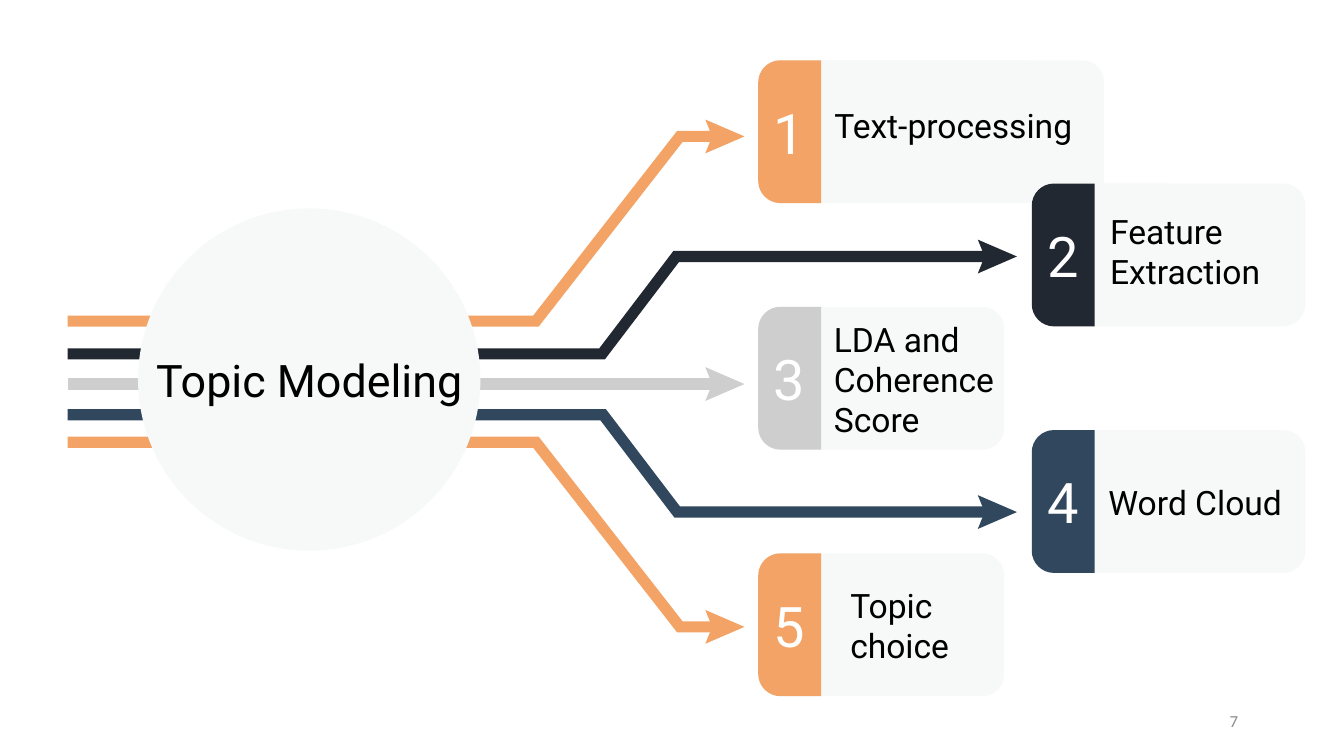
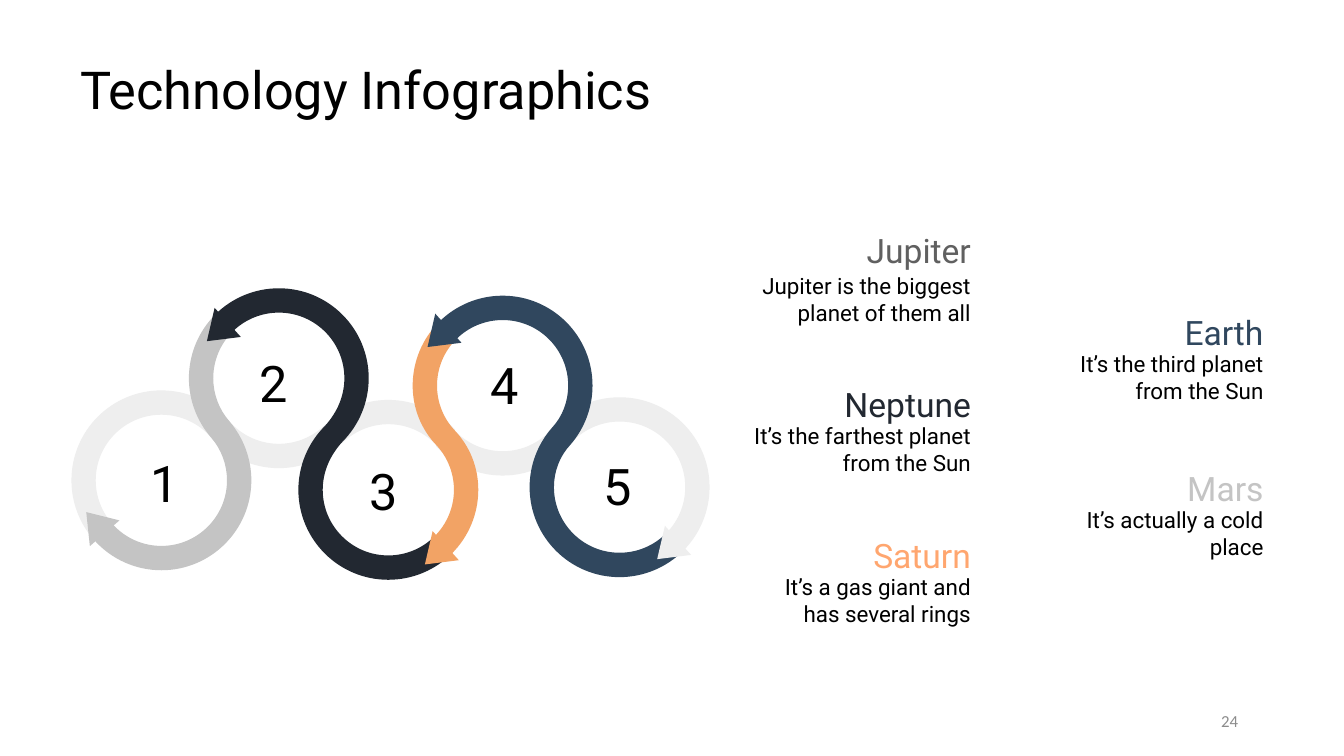
import math

import pptx
import pptx.dml.color
import pptx.enum.shapes
import pptx.enum.text
import pptx.oxml.ns
import pptx.util
from lxml import etree

Cm = pptx.util.Cm
ALIGN = pptx.enum.text.PP_ALIGN
SHAPE = pptx.enum.shapes.MSO_SHAPE

ORANGE, NAVY, BLUE = "F2A365", "222831", "30475E"
SILVER, GREY, MIST, PALE = "CECECE", "C4C4C4", "EEEEEE", "F7F9F9"
BLACK, WHITE = "000000", "FFFFFF"


def rgb(value):
    return pptx.dml.color.RGBColor.from_string(value)


# Shared drawing helpers, all lengths in centimetres
def paint(shape, color):
    shape.shadow.inherit = False
    shape.fill.solid()
    shape.fill.fore_color.rgb = rgb(color)
    shape.line.fill.background()
    return shape


def write(shape, text, size, color=BLACK, align=ALIGN.LEFT, wrap=True,
          font="Roboto"):
    frame = shape.text_frame
    frame.word_wrap = wrap
    frame.vertical_anchor = pptx.enum.text.MSO_ANCHOR.MIDDLE
    frame.margin_left = frame.margin_right = Cm(0.25)
    frame.margin_top = frame.margin_bottom = Cm(0.25)
    paragraph = frame.paragraphs[0]
    paragraph.alignment = align
    run = paragraph.add_run()
    run.text = text
    run.font.name = font
    run.font.size = pptx.util.Pt(size)
    run.font.color.rgb = rgb(color)


def add_text(slide, left, top, width, height, text, size, **style):
    box = slide.shapes.add_textbox(Cm(left), Cm(top), Cm(width), Cm(height))
    write(box, text, size, **style)


def add_outline(slide, segments, color):
    """Draw segments of one point (straight) or three points (curved)."""
    points = [(Cm(x), Cm(y)) for segment in segments for x, y in segment]
    builder = slide.shapes.build_freeform(*points[0], scale=1.0)
    builder.add_line_segments(points[1:], close=True)
    shape = builder.convert_to_shape()
    tag = pptx.oxml.ns.qn
    lines = iter(list(shape.element.iter(tag("a:lnTo"))))
    for segment in segments[1:]:
        steps = [next(lines) for point in segment]
        if len(steps) == 3:
            curve = etree.Element(tag("a:cubicBezTo"))
            steps[0].addprevious(curve)
            for step in steps:
                curve.append(step[0])
                step.getparent().remove(step)
    return paint(shape, color)


def add_polygon(slide, points, color):
    return add_outline(slide, [[point] for point in points], color)


def polar(center, radius, degrees):
    angle = math.radians(degrees)
    return (center[0] + radius * math.cos(angle),
            center[1] + radius * math.sin(angle))


def arc(center, radius, start, end):
    """Curved segments from start to end, split at each quarter turn."""
    low, high = sorted((start, end))
    quarters = [a for a in range(0, 541, 90) if low < a < high]
    stops = sorted([low, *quarters, high], reverse=end < start)
    segments = [[polar(center, radius, start)]]
    for a, b in zip(stops, stops[1:]):
        pull = radius * 4 / 3 * math.tan(math.radians(b - a) / 4)
        finish = polar(center, radius, b)
        segments.append([polar(segments[-1][-1], pull, a + 90),
                         polar(finish, pull, b - 90), finish])
    return segments


def add_strip(slide, points, width, color):
    """Outline a path at constant width, with mitred corners."""
    normals = []
    for (x1, y1), (x2, y2) in zip(points, points[1:]):
        length = math.hypot(x2 - x1, y2 - y1)
        normals.append(((y2 - y1) / length, (x1 - x2) / length))
    sides = [[], []]
    joints = zip(points, normals[:1] + normals, normals + normals[-1:])
    for (x, y), (ax, ay), (bx, by) in joints:
        reach = width / 2 / (1 + ax * bx + ay * by)
        dx, dy = (ax + bx) * reach, (ay + by) * reach
        sides[0].append((x + dx, y + dy))
        sides[1].append((x - dx, y - dy))
    add_polygon(slide, sides[0] + sides[1][::-1], color)


def add_page_number(slide, number):
    add_text(slide, 17.93, 13.25, 5.72, 0.76, str(number), 9, color="8C8C8C",
             align=ALIGN.RIGHT, font="Calibri")


# Topic modeling: bands run behind a hub and point at numbered cards
def add_band(slide, left, color, start_y, end_y, end_x, bends):
    path = [(left, start_y)]
    if bends:
        path += [(bends[0], start_y), (bends[1], end_y)]
    path.append((end_x, end_y))
    add_strip(slide, path, 0.21, color)
    back = end_x - 0.23
    add_polygon(slide, [(back, end_y - 0.32), (back + 0.13, end_y),
                        (back, end_y + 0.32), (back + 0.74, end_y)], color)


def add_hub(slide, left, top, size):
    hub = slide.shapes.add_shape(SHAPE.OVAL, Cm(left), Cm(top),
                                 Cm(size), Cm(size))
    paint(hub, PALE)
    write(hub, "Topic Modeling", 24, align=ALIGN.CENTER, wrap=False)


def add_card(slide, left, top, width, number, color):
    height, radius, tab_width = 2.7, 0.42, 1.19
    body = slide.shapes.add_shape(SHAPE.ROUNDED_RECTANGLE, Cm(left), Cm(top),
                                  Cm(width), Cm(height))
    body.adjustments[0] = radius / height
    paint(body, PALE)
    # Number tab, rounded on its left side only
    right, bottom = left + tab_width, top + height
    outline = [[(right, top)], [(right, bottom)]]
    outline += arc((left + radius, bottom - radius), radius, 90, 180)
    outline += arc((left + radius, top + radius), radius, 180, 270)
    tab = add_outline(slide, outline, color)
    write(tab, str(number), 30, color=WHITE, align=ALIGN.CENTER, wrap=False)


def build_topic_slide(presentation):
    slide = presentation.slides.add_slide(presentation.slide_layouts[6])
    near, far = 13.56, 18.71
    bands = [
        (SILVER, 7.26, 7.26, near, None),
        (ORANGE, 6.07, 2.58, near, (10.13, 12.85)),
        (NAVY, 6.69, 4.85, far, (11.38, 12.78)),
        (BLUE, 7.84, 9.68, far, (11.4, 12.8)),
        (ORANGE, 8.36, 11.85, near, (10.13, 12.85)),
    ]
    for band in bands:
        add_band(slide, 1.28, *band)
    add_hub(slide, 2.61, 3.94, 6.47)

    # Cards: column, width, colour, then label, its offset, width and height
    cards = [
        (14.33, 6.54, ORANGE, "Text-processing", 1.19, 5.36, 2.46),
        (19.5, 5.17, NAVY, "Feature Extraction", 1.23, 4.32, 2.55),
        (14.33, 4.65, SILVER, "LDA and Coherence Score", 1.18, 4.5, 2.73),
        (19.5, 5.17, BLUE, "Word Cloud", 1.2, 4.09, 2.73),
        (14.33, 4.65, ORANGE, "Topic choice", 1.49, 3.91, 2.7),
    ]
    for index, card in enumerate(cards):
        left, width, color, label, offset, label_width, label_height = card
        top = 1.14 + 2.33 * index
        add_card(slide, left, top, width, index + 1, color)
        add_text(slide, left + offset, top, label_width, label_height,
                 label, 18)
    add_page_number(slide, 7)


# Technology: a chain of touching rings, drawn as winding ribbons
def ribbon_side(centers, radius, offset, arcs):
    """Follow the arcs along the side that is left of the travel."""
    side = []
    for ring, start, end in arcs:
        reach = radius + math.copysign(offset, end - start)
        side += arc(centers[ring], reach, start, end)[bool(side):]
    return side


def add_ring_chain(slide, left, top):
    radius, half_width = 1.47, 0.23
    offsets = [(1.87, 3.65), (4.09, 1.72), (6.16, 3.83), (8.32, 1.86),
               (10.53, 3.78)]
    centers = [(left + x, top + y) for x, y in offsets]
    # Each ribbon lists ring index, start angle and end angle
    ribbons = [
        (MIST, [(0, 138, 319)]),
        (MIST, [(1, 45, 139)]),
        (MIST, [(2, 225, 318)]),
        (MIST, [(3, 41, 138)]),
        (MIST, [(4, 221, 405)]),
        (NAVY, [(1, 225, 405), (2, 225, 45)]),
        (GREY, [(1, 225, 139), (0, 319, 498)]),
        (ORANGE, [(3, 225, 138), (2, 318, 405)]),
        (BLUE, [(3, 225, 401), (4, 221, 45)]),
    ]
    for color, arcs in ribbons:
        back = [(ring, end, start) for ring, start, end in reversed(arcs)]
        outline = [segment for way in (arcs, back) for segment in
                   ribbon_side(centers, radius, half_width, way)]
        add_outline(slide, outline, color)

    # Arrowheads: colour, tip and heading
    heads = [(GREY, 0.45, 4.25, 229), (NAVY, 2.73, 1.02, 138),
             (ORANGE, 6.85, 5.24, 138), (MIST, 11.24, 5.14, 138),
             (BLUE, 6.9, 1.13, 138)]
    for color, x, y, heading in heads:
        tip = (left + x, top + y)
        base = polar(tip, 0.53, heading + 180)
        add_polygon(slide, [tip, polar(base, 0.37, heading + 90),
                            polar(base, 0.37, heading - 90)], color)

    # Ring numbers
    digits = [(1.93, 3.68), (3.99, 1.8), (6.07, 3.84), (8.36, 1.84),
              (10.5, 3.74)]
    for number, (x, y) in enumerate(digits, 1):
        add_text(slide, left + x - 0.65, top + y - 0.65, 1.3, 1.3,
                 str(number), 27, align=ALIGN.CENTER)


def add_planet(slide, left, top, name, color, fact, gap):
    add_text(slide, left, top, 4.72, 0.74, name, 18, color=color,
             align=ALIGN.RIGHT)
    add_text(slide, left, top + gap, 4.72, 0.99, fact, 12, align=ALIGN.RIGHT)


def build_technology_slide(presentation):
    slide = presentation.slides.add_slide(presentation.slide_layouts[6])
    add_text(slide, 1.27, 1.14, 11.96, 1.07, "Technology Infographics", 28)
    add_ring_chain(slide, 1.18, 5.43)
    inner, outer = 13.88, 19.41
    planets = [
        (inner, 4.36, "Jupiter", "606060",
         "Jupiter is the biggest planet of them all", 0.8),
        (inner, 7.26, "Neptune", NAVY,
         "It’s the farthest planet from the Sun", 0.73),
        (inner, 10.13, "Saturn", "FFA66F",
         "It’s a gas giant and has several rings", 0.72),
        (outer, 5.91, "Earth", BLUE,
         "It’s the third planet from the Sun", 0.72),
        (outer, 8.86, "Mars", GREY, "It’s actually a cold place", 0.73),
    ]
    for planet in planets:
        add_planet(slide, *planet)
    add_page_number(slide, 24)


def main():
    presentation = pptx.Presentation()
    presentation.slide_width = Cm(25.4)
    presentation.slide_height = Cm(14.29)
    build_topic_slide(presentation)
    build_technology_slide(presentation)
    presentation.save("out.pptx")


if __name__ == "__main__":
    main()
